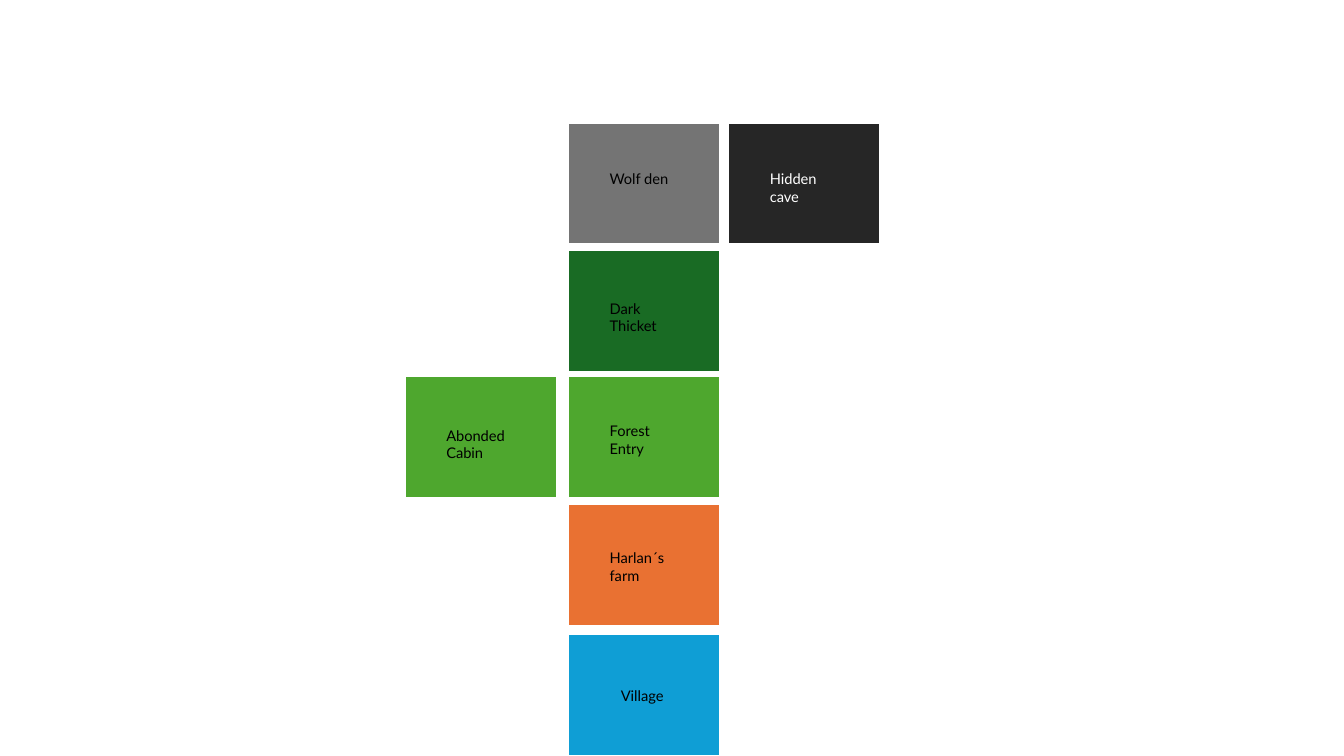
"""Build a slide with a tile map of the places in a forest adventure."""
import pptx
import pptx.dml.color
import pptx.enum.shapes
import pptx.enum.text
import pptx.util

Pt = pptx.util.Pt
RGBColor = pptx.dml.color.RGBColor

BLACK = RGBColor(0x00, 0x00, 0x00)
WHITE = RGBColor(0xFF, 0xFF, 0xFF)
BLUE = RGBColor(0x0F, 0x9E, 0xD5)
ORANGE = RGBColor(0xE9, 0x71, 0x32)
GREEN = RGBColor(0x4E, 0xA7, 0x2E)
DARK_GREEN = RGBColor(0x19, 0x6B, 0x24)
GRAY = RGBColor(0x74, 0x74, 0x74)
CHARCOAL = RGBColor(0x26, 0x26, 0x26)

# name, column, row, fill, text colour, label inset, label drop, label width
PLACES = [
    ("Village", 1, 4, BLUE, BLACK, 31, 33.8, 46.8),
    ("Harlan´s farm", 1, 3, ORANGE, BLACK, 23, 28.8, 63.4),
    ("Forest Entry", 1, 2, GREEN, BLACK, 23, 29.5, 63.4),
    ("Dark Thicket", 1, 1, DARK_GREEN, BLACK, 23, 31.7, 63.4),
    ("Abonded Cabin", 0, 2, GREEN, BLACK, 23, 32.4, 63.4),
    ("Wolf den", 1, 0, GRAY, BLACK, 23, 30.2, 63.4),
    ("Hidden cave", 2, 0, CHARCOAL, WHITE, 23, 30.2, 63.4),
]
COLUMN_LEFTS = [288.7, 405.4, 519.8]
ROW_TOPS = [87.8, 178.6, 268.6, 360, 452.9]
TILE_WIDTH, TILE_HEIGHT = 109.4, 87.1
LABEL_HEIGHT = 20.2


def add_tile(slide, left, top, color):
    shape = slide.shapes.add_shape(
        pptx.enum.shapes.MSO_SHAPE.RECTANGLE,
        Pt(left), Pt(top), Pt(TILE_WIDTH), Pt(TILE_HEIGHT))
    shape.shadow.inherit = False
    shape.fill.solid()
    shape.fill.fore_color.rgb = color
    shape.line.color.rgb = WHITE
    shape.line.width = Pt(2)


def add_label(slide, text, *, left, top, width, height, color, size=10.5, font="Lato"):
    frame = slide.shapes.add_textbox(Pt(left), Pt(top), Pt(width), Pt(height)).text_frame
    frame.word_wrap = True
    frame.auto_size = pptx.enum.text.MSO_AUTO_SIZE.SHAPE_TO_FIT_TEXT
    run = frame.paragraphs[0].add_run()
    run.text = text
    run.font.name = font
    run.font.size = Pt(size)
    run.font.color.rgb = color


def main():
    presentation = pptx.Presentation()
    presentation.slide_width, presentation.slide_height = Pt(960), Pt(540)
    slide = presentation.slides.add_slide(presentation.slide_layouts[6])
    for name, column, row, fill, text_color, inset, drop, width in PLACES:
        left, top = COLUMN_LEFTS[column], ROW_TOPS[row]
        add_tile(slide, left, top, fill)
        height = LABEL_HEIGHT if name in ("Village", "Wolf den") else LABEL_HEIGHT + 12.2
        add_label(slide, name, left=left + inset, top=top + drop,
                  width=width, height=height, color=text_color)
    presentation.save("out.pptx")


if __name__ == "__main__":
    main()
